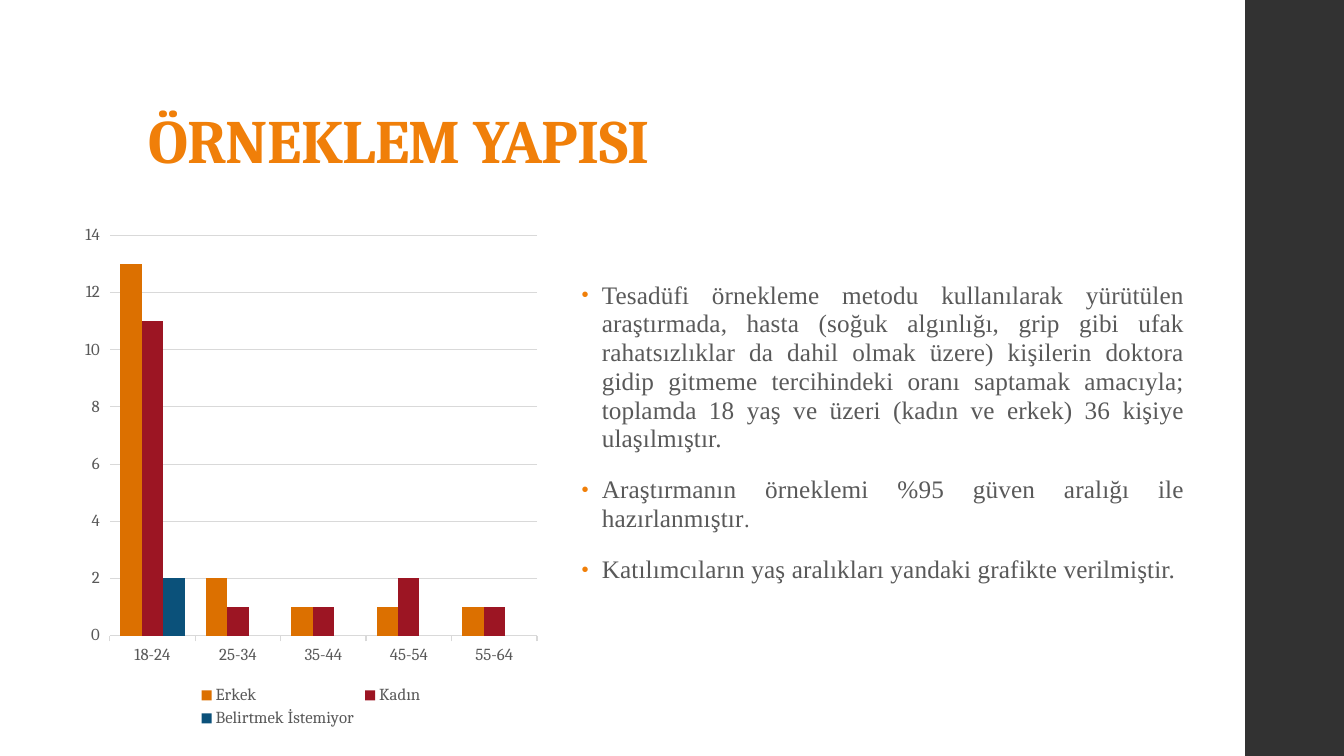
from lxml.etree import SubElement as Sub
from pptx import Presentation
from pptx.chart.data import CategoryChartData as Data
from pptx.dml.color import RGBColor as RGB
from pptx.enum.chart import XL_CHART_TYPE as Kind, XL_LEGEND_POSITION as Spot, XL_TICK_MARK as Tick
from pptx.enum.shapes import MSO_SHAPE as Form
from pptx.enum.text import MSO_ANCHOR as Anchor, PP_ALIGN as Align
from pptx.oxml.ns import qn
from pptx.util import Pt

PX = 9144
COLORS = {
    "orange": "F07F09", "dark": "323232", "text": "595959", "grid": "D9D9D9",
    "male": "DC7000", "female": "9C1523", "other": "0B517A",
}
HEAD, BODY = "Cambria", "Times New Roman"
AGES = ["18-24", "25-34", "35-44", "45-54", "55-64"]
SERIES = [
    ("Erkek", [13, 2, 1, 1, 1], "male"),
    ("Kadın", [11, 1, 1, 2, 1], "female"),
    ("Belirtmek İstemiyor", [2, None, None, None, None], "other"),
]
POINTS = [
    [("Tesadüfi örnekleme metodu kullanılarak yürütülen araştırmada, hasta "
      "(soğuk algınlığı, grip gibi ufak rahatsızlıklar da dahil olmak üzere) "
      "kişilerin doktora gidip gitmeme tercihindeki oranı saptamak amacıyla; "
      "toplamda 18 yaş ve üzeri (kadın ve erkek) 36 kişiye ulaşılmıştır.", None)],
    [("Araştırmanın örneklemi %95 güven aralığı ile hazırlanmıştır", None), (".", 16)],
    [("Katılımcıların yaş aralıkları yandaki grafikte verilmiştir.", None)],
]


def color(name):
    return RGB.from_string(COLORS[name])


class Board:
    def __init__(self, deck):
        self.slide = deck.slides.add_slide(deck.slide_layouts[6])
        self.shapes = self.slide.shapes

    def place(self, box):
        return [n * PX for n in box]

    def style(self, font, size, name, hue, bold=None):
        font.size, font.name, font.bold = Pt(size), name, bold
        font.color.rgb = color(hue)

    def track(self, para, gap):
        para._p.pPr.find(qn("a:defRPr")).set("spc", str(gap))

    def bar(self, box, hue):
        bar = self.shapes.add_shape(Form.RECTANGLE, *self.place(box))
        bar.shadow.inherit = False
        bar.fill.solid()
        bar.fill.fore_color.rgb = color(hue)
        bar.line.fill.background()

    def frame(self, box):
        frame = self.shapes.add_textbox(*self.place(box)).text_frame
        frame.word_wrap = True
        return frame

    def title(self, box, text):
        frame = self.frame(box)
        frame.vertical_anchor = Anchor.BOTTOM
        frame.margin_top = 3 * PX
        para = frame.paragraphs[0]
        para.text = text
        para.line_spacing = 0.9
        self.style(para.font, 44, HEAD, "orange", True)
        self.track(para, -50)

    def bullet(self, para):
        props = para._p.get_or_add_pPr()
        props.set("marL", str(20 * PX))
        props.set("indent", str(-20 * PX))
        Sub(Sub(props, qn("a:buClr")), qn("a:srgbClr")).set("val", COLORS["orange"])
        Sub(props, qn("a:buSzPct")).set("val", "80000")
        Sub(props, qn("a:buFont")).set("typeface", "Arial")
        Sub(props, qn("a:buChar")).set("char", "•")

    def points(self, box, items):
        frame = self.frame(box)
        for i, parts in enumerate(items):
            para = frame.add_paragraph() if i else frame.paragraphs[0]
            para.alignment = Align.JUSTIFY
            para.line_spacing = 0.95
            para.space_before, para.space_after = Pt(14), Pt(2)
            self.bullet(para)
            self.style(para.font, 18, BODY, "text")
            self.track(para, 10)
            for text, size in parts:
                run = para.add_run()
                run.text = text
                if size:
                    run.font.size = Pt(size)

    def line(self, form, width):
        form.line.color.rgb = color("grid")
        form.line.width = Pt(width)

    def chart(self, box, cats, series):
        data = Data()
        data.categories = cats
        for name, vals, _ in series:
            data.add_series(name, vals)
        chart = self.shapes.add_chart(Kind.COLUMN_CLUSTERED, *self.place(box), data).chart
        chart.has_title = False
        self.style(chart.font, 12, HEAD, "text")
        plot = chart.plots[0]
        plot.gap_width, plot.overlap = 100, 0
        plot.vary_by_categories = False
        for item, (_, _, hue) in zip(plot.series, series):
            item.invert_if_negative = False
            item.format.fill.solid()
            item.format.fill.fore_color.rgb = color(hue)
        for axis in (chart.category_axis, chart.value_axis):
            axis.major_tick_mark = Tick.OUTSIDE
            self.style(axis.tick_labels.font, 12, HEAD, "text")
        self.line(chart.category_axis.format, 1)
        axis = chart.value_axis
        axis.format.line.fill.background()
        axis.minimum_scale, axis.maximum_scale, axis.major_unit = 0, 14, 2
        self.line(axis.major_gridlines.format, 0.75)
        chart.has_legend = True
        chart.legend.position = Spot.BOTTOM
        chart.legend.include_in_layout = False
        self.style(chart.legend.font, 12, HEAD, "text")


def main():
    deck = Presentation()
    deck.slide_width, deck.slide_height = 1333 * PX, 750 * PX
    board = Board(deck)
    board.bar((1235, 0, 98, 750), "dark")
    board.title((137, 24, 1060, 156), "ÖRNEKLEM YAPISI")
    board.points((567, 274, 618, 476), POINTS)
    board.chart((75, 214, 467, 512), AGES, SERIES)
    deck.save("out.pptx")


if __name__ == "__main__":
    main()
